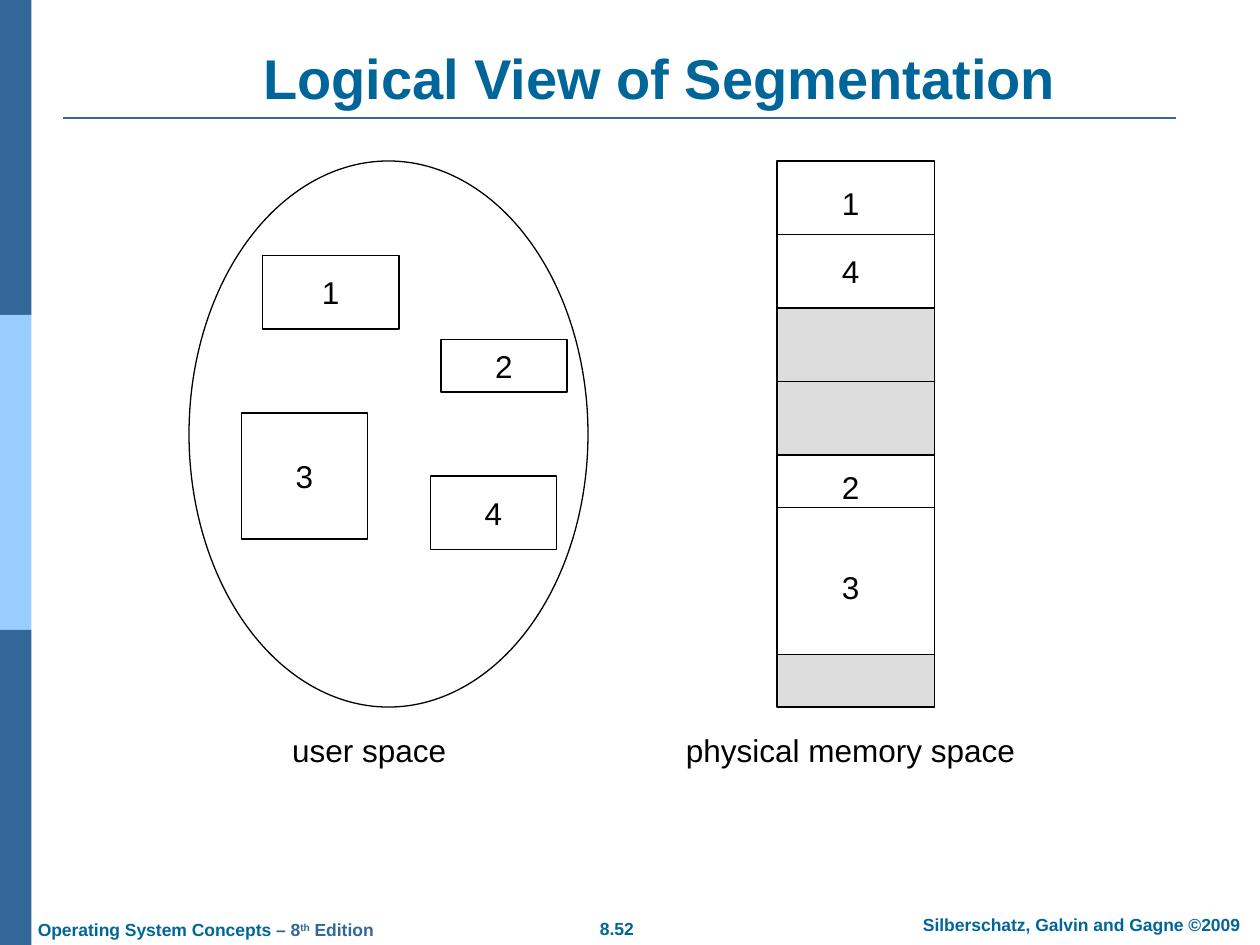
import lxml.etree
import pptx
import pptx.util
import pptx.dml.color
import pptx.enum.shapes
import pptx.enum.text
import pptx.oxml.ns
from pptx.util import Pt

COLORS = {"navy": "336699", "sky": "99CCFF", "title": "006699",
          "black": "000000", "white": "FFFFFF", "gray": "DDDDDD"}
SHAPE = pptx.enum.shapes.MSO_SHAPE
ALIGN = pptx.enum.text.PP_ALIGN
ANCHOR = pptx.enum.text.MSO_ANCHOR


def rgb(name):
    """Return the named colour."""
    return pptx.dml.color.RGBColor.from_string(COLORS[name])


def write(sp, runs, size, bold=False, align=ALIGN.CENTER, anchor=ANCHOR.MIDDLE):
    """Write (text, colour, baseline) runs as one paragraph."""
    tf = sp.text_frame
    tf.word_wrap = False
    tf.vertical_anchor = anchor
    p = tf.paragraphs[0]
    p.alignment = align
    for text, color, baseline in runs:
        r = p.add_run()
        r.text = text
        r.font.name = "Arial"
        r.font.size = Pt(size)
        r.font.bold = bold
        r.font.color.rgb = rgb(color)
        if baseline:
            r.font._element.set("baseline", str(baseline * 1000))


def add_text(s, x, y, w, h, runs, size, **style):
    """Add a text box."""
    sp = s.shapes.add_textbox(Pt(x), Pt(y), Pt(w), Pt(h))
    write(sp, runs, size, **style)


def add_box(s, x, y, w, h, fill, line=None, kind=SHAPE.RECTANGLE):
    """Add a filled shape, outlined when a line colour is given."""
    sp = s.shapes.add_shape(kind, Pt(x), Pt(y), Pt(w), Pt(h))
    sp.shadow.inherit = False
    sp.fill.solid()
    sp.fill.fore_color.rgb = rgb(fill)
    if line:
        sp.line.color.rgb = rgb(line)
        sp.line.width = Pt(0.75)
    else:
        sp.line.fill.background()
    return sp


def add_rule(s, x, y, w, color, width):
    """Add a horizontal line."""
    sp = s.shapes.add_connector(pptx.enum.shapes.MSO_CONNECTOR.STRAIGHT,
                                Pt(x), Pt(y), Pt(x + w), Pt(y))
    sp.line.color.rgb = rgb(color)
    sp.line.width = Pt(width)
    lxml.etree.SubElement(sp._element.spPr, pptx.oxml.ns.qn("a:effectLst"))


def add_sidebar(s, x, y, w, h):
    """Stack three equal colour bands."""
    band = h / 3
    for i, color in enumerate(("navy", "sky", "navy")):
        add_box(s, x, y + i * band, w, band, color)


def add_header(s, x, y, w, h):
    """Place the title and the rule below it."""
    add_rule(s, x, y + h, w, "navy", 1.5)
    add_text(s, x + 34, y, 614, h - 0.5, [("Logical View of Segmentation", "title", 0)],
             32, bold=True, anchor=ANCHOR.BOTTOM)


def add_footer(s, x, y, w, h):
    """Place the book title, page number and authors."""
    book = [("Operating System Concepts", "title", 0), (" – 8", "navy", 0),
            ("th", "navy", 30), (" Edition", "navy", 0)]
    add_text(s, x, y + 2.5, 210, h, book, 10, bold=True,
             align=ALIGN.LEFT, anchor=ANCHOR.TOP)
    add_text(s, x + 320, y + 2, 36, h, [("8.52", "title", 0)], 10,
             bold=True, anchor=ANCHOR.TOP)
    add_text(s, x + w - 214, y - 0.5, 214, h,
             [("Silberschatz, Galvin and Gagne ©2009", "title", 0)], 10,
             bold=True, anchor=ANCHOR.TOP)


def add_user_space(s, x, y, w, h):
    """Draw the ellipse holding the four segments, with its caption."""
    add_box(s, x, y, w, h, "white", "black", SHAPE.OVAL)
    segments = [("1", 42, 54, 78, 42), ("3", 30, 144, 72, 72),
                ("2", 144, 102, 72, 30), ("4", 138, 180, 72, 42)]
    for label, dx, dy, sw, sh in segments:
        sp = add_box(s, x + dx, y + dy, sw, sh, "white", "black")
        write(sp, [(label, "black", 0)], 18)
    add_text(s, x + 51, y + h + 10, 109, 29, [("user space ", "black", 0)], 18)


def add_memory(s, x, y, w, h):
    """Draw the memory column with its segments, and its caption."""
    blocks = [(0, 84, "white", 42), (84, 84, "gray", 42),
              (168, 114, "white", 30), (282, 30, "gray", None)]
    for dy, bh, fill, split in blocks:
        add_box(s, x, y + dy, w, bh, fill, "black")
        if split:
            add_rule(s, x, y + dy + split, w, "black", 0.75)
    for label, dy in (("1", 9.5), ("4", 48), ("2", 171.5), ("3", 229)):
        add_text(s, x + 30, y + dy, 24, 29, [(label, "black", 0)], 18)
    add_text(s, x - 60, y + h + 10, 204, 29,
             [("physical memory space", "black", 0)], 18)


def main():
    """Build and save the slide."""
    prs = pptx.Presentation()
    prs.slide_width, prs.slide_height = Pt(720), Pt(540)
    s = prs.slides.add_slide(prs.slide_layouts[6])
    add_sidebar(s, 0, 0, 18, 540)
    add_header(s, 36, 21.5, 636, 46)
    add_footer(s, 14.5, 519, 710.5, 19.5)
    add_user_space(s, 108, 92, 228, 312)
    add_memory(s, 444, 92, 90, 312)
    prs.save("out.pptx")


if __name__ == "__main__":
    main()
